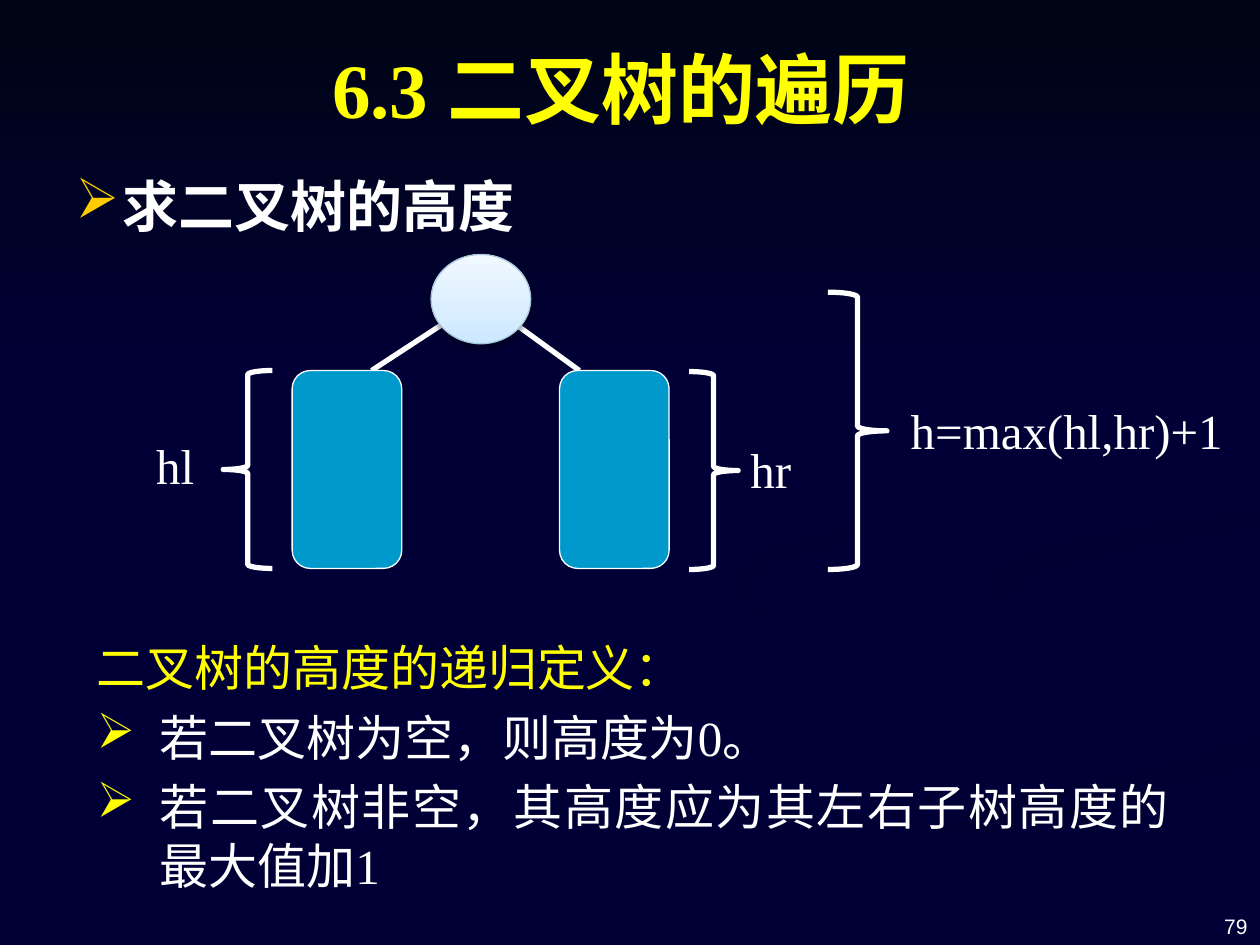
from copy import deepcopy
from dataclasses import dataclass
from typing import Optional

from pptx import Presentation
from pptx.dml.color import RGBColor
from pptx.enum.shapes import MSO_CONNECTOR, MSO_SHAPE
from pptx.enum.text import MSO_ANCHOR, PP_ALIGN
from pptx.oxml.ns import qn
from pptx.util import Cm, Pt
from lxml.etree import SubElement


@dataclass(frozen=True)
class Theme:
    night: str = "000036"
    dusk: str = "000034"
    deep: str = "000032"
    shade: str = "000033"
    sky: str = "000514"
    white: str = "FFFFFF"
    yellow: str = "FFFF00"
    gold: str = "FFCC00"
    subtree: str = "0099CC"
    root_edge: str = "A5C6DE"
    root_stops: tuple = ((0, "CCE8FF"), (35, "DAEEFF"), (100, "F1F8FF"))
    serif: str = "Times New Roman"
    sans: str = "Arial"
    title_size: int = 44
    heading_size: int = 32
    text_size: int = 28
    number_size: int = 12
    thin: float = 0.75
    thick: float = 3


THEME = Theme()


@dataclass(frozen=True)
class Box:
    left: float
    top: float
    width: float
    height: float

    def lengths(self) -> tuple:
        """Return the four sides as lengths."""
        return tuple(Cm(side) for side in (self.left, self.top, self.width, self.height))


@dataclass(frozen=True)
class Line:
    text: str
    size: int = THEME.text_size
    color: str = THEME.white
    font: str = THEME.serif
    bold: bool = False
    align: PP_ALIGN = PP_ALIGN.LEFT
    bullet: Optional[str] = None
    indent: float = 0
    before: float = 0


@dataclass(frozen=True)
class Swirl:
    stops: tuple
    angle: int
    outline: tuple


@dataclass(frozen=True)
class Brace:
    box: Box
    turn: int
    label: str
    label_box: Box


SWIRLS = (
    Swirl(((0, THEME.night), (100, THEME.dusk)), 0, (
        (19.8, 14), (18.6, 13.5), (16.3, 12.9), (15.1, 12.3), (14.6, 11.7), (14.5, 12), (14.9, 12.4),
        (16, 12.8), (18.5, 13.6), (19.7, 14), (20, 14.4), (19.5, 14.9), (18.1, 15.4), (14.7, 16.2),
        (11.6, 17.1), (7.6, 19), (9.2, 19), (11.8, 17.8), (15.1, 16.7), (18.8, 15.7), (20.1, 15.2),
        (20.3, 14.8), (20.1, 14.2))),
    Swirl(((0, THEME.night), (100, THEME.dusk)), 45, (
        (24, 14.5), (23.3, 13.9), (21.6, 13.3), (19.7, 12.8), (18.6, 12.3), (18.4, 11.8), (18.6, 12.4),
        (19.5, 13), (21.3, 13.6), (22.9, 14.1), (23.3, 14.8), (22.7, 15.4), (23.7, 15))),
    Swirl(((0, THEME.deep), (100, THEME.night)), 90, (
        (12.8, 19), (14.5, 19), (16.5, 18), (19.9, 16.8), (25.4, 15.5), (25.4, 14.8), (23.4, 15.4),
        (19.4, 16.4), (16, 17.6), (13.2, 19))),
    Swirl(((0, THEME.night),), 0, (
        (18.4, 11.8), (18.6, 12.3), (19.7, 12.8), (21.6, 13.3), (23.3, 13.9), (24, 14.5), (23.5, 15.1),
        (22.4, 15.4), (19.8, 16.1), (15.7, 17.4), (12.1, 19), (13.2, 19), (16, 17.6), (19.4, 16.4),
        (23.4, 15.4), (25.4, 14.8), (25.4, 13.7), (23, 13.2), (20.4, 12.3), (19.8, 11.8), (20.6, 11.1),
        (22.8, 10.6), (25.4, 10.2), (25.4, 9.8), (22.2, 10.4), (19.2, 11))),
    Swirl(((0, THEME.shade), (100, THEME.night)), 45, (
        (19.8, 11.7), (19.9, 12), (21, 12.6), (20.4, 12.1), (20.7, 11.7), (22.3, 11.2), (25.4, 10.7),
        (25.4, 10.2), (22.8, 10.6), (20.6, 11.1))),
    Swirl(((0, THEME.deep), (100, THEME.night)), 45, (
        (17.3, 10.9), (20, 10.5), (21.7, 9.9), (22.6, 9.2), (22.7, 8.7), (22.4, 7.8), (21.4, 7),
        (19.4, 5.9), (21, 6.8), (22.3, 7.8), (22.6, 8.5), (21.9, 9.4), (19.4, 10.1), (16.5, 10.7),
        (15, 11.2), (14.7, 11.7), (15.1, 12.4), (15.8, 12.7), (15.1, 11.9), (15.6, 11.4))),
    Swirl(((0, THEME.sky), (100, THEME.night)), 90, ((0, 0), (0, 7.82), (25.4, 7.82), (25.4, 0))),
)
BRACES = (
    Brace(Box(4.5, 7.47, 0.99, 3.99), 0, "hl", Box(2.9, 8.66, 1.3, 1.45)),
    Brace(Box(13.89, 7.49, 0.99, 3.99), 180, "hr", Box(14.88, 8.74, 1.35, 1.45)),
    Brace(Box(16.69, 5.89, 1.19, 5.59), 180, "h=max(hl,hr)+1", Box(18.11, 7.95, 6.88, 1.45)),
)
ROOT = Box(8.69, 5.13, 2.01, 1.8)
SUBTREES = (Box(5.89, 7.47, 2.21, 3.99), Box(11.28, 7.47, 2.21, 3.99))
BRANCH_ENDS = (7.49, 11.68)
DEFINITION = (
    Line("二叉树的高度的递归定义：", color=THEME.yellow, align=PP_ALIGN.JUSTIFY),
    *(Line(rule, align=PP_ALIGN.JUSTIFY, bullet=THEME.yellow, indent=1.27, before=6)
      for rule in ("若二叉树为空，则高度为0。", "若二叉树非空，其高度应为其左右子树高度的最大值加1")),
)


def paint(shape, stops: tuple, angle: int = 0) -> None:
    """Fill a shape with one colour or a clockwise linear gradient."""
    if len(stops) == 1:
        shape.fill.solid()
        shape.fill.fore_color.rgb = RGBColor.from_string(stops[0][1])
        return
    shape.fill.gradient()
    shape.fill.gradient_angle = -angle % 360
    stop_list = shape._element.spPr.find(qn("a:gradFill")).find(qn("a:gsLst"))
    for _ in stops[2:]:
        stop_list.append(deepcopy(stop_list[-1]))
    for stop, (position, color) in zip(shape.fill.gradient_stops, stops):
        stop.position = position / 100
        stop.color.rgb = RGBColor.from_string(color)


def stroke(shape, color: str, width: float) -> None:
    """Set the line of a shape or connector."""
    shape.line.color.rgb = RGBColor.from_string(color)
    shape.line.width = Pt(width)


def write(frame, lines: tuple, wrap: bool = True, anchor: MSO_ANCHOR = MSO_ANCHOR.TOP) -> None:
    """Write formatted paragraphs into a text frame."""
    frame.word_wrap = wrap
    frame.vertical_anchor = anchor
    for index, line in enumerate(lines):
        paragraph = frame.add_paragraph() if index else frame.paragraphs[0]
        paragraph.text = line.text
        paragraph.alignment = line.align
        if line.before:
            paragraph.space_before = Pt(line.before)
        if line.bullet:
            properties = paragraph._p.get_or_add_pPr()
            properties.set("marL", str(int(Cm(line.indent))))
            properties.set("indent", str(-int(Cm(line.indent))))
            bullet_color = SubElement(properties, qn("a:buClr"))
            SubElement(bullet_color, qn("a:srgbClr"), val=line.bullet)
            SubElement(properties, qn("a:buChar"), char="➢")
        paragraph.font.size = Pt(line.size)
        paragraph.font.name = line.font
        paragraph.font.bold = line.bold
        paragraph.font.color.rgb = RGBColor.from_string(line.color)


def add_text(slide, box: Box, *lines: Line, **layout) -> None:
    """Add a text box."""
    write(slide.shapes.add_textbox(*box.lengths()).text_frame, lines, **layout)


def add_swirl(slide, swirl: Swirl) -> None:
    """Add one background outline."""
    points = [(Cm(x), Cm(y)) for x, y in swirl.outline]
    builder = slide.shapes.build_freeform(*points[0])
    builder.add_line_segments(points[1:])
    shape = builder.convert_to_shape()
    shape.shadow.inherit = False
    paint(shape, swirl.stops, swirl.angle)
    shape.line.fill.background()


def add_branch(slide, end: float) -> None:
    """Join the root to the top of a subtree."""
    branch = slide.shapes.add_connector(
        MSO_CONNECTOR.STRAIGHT, Cm(ROOT.left + ROOT.width / 2), Cm(ROOT.top + ROOT.height / 2),
        Cm(end), Cm(SUBTREES[0].top))
    stroke(branch, THEME.white, THEME.thick)
    SubElement(branch._element.spPr, qn("a:effectLst"))


def add_node(slide, kind: MSO_SHAPE, box: Box, stops: tuple, edge: str, angle: int = 0):
    """Add a filled part of the tree."""
    node = slide.shapes.add_shape(kind, *box.lengths())
    node.shadow.inherit = False
    paint(node, stops, angle)
    stroke(node, edge, THEME.thin)
    return node


def add_root(slide) -> None:
    """Add the root with its soft shadow."""
    root = add_node(slide, MSO_SHAPE.OVAL, ROOT, THEME.root_stops, THEME.root_edge, 270)
    effects = root._element.spPr.find(qn("a:effectLst"))
    shadow = SubElement(effects, qn("a:outerShdw"), blurRad=str(int(Pt(3.1))), dist=str(int(Pt(1.6))),
                        dir="5400000", rotWithShape="0")
    shadow_color = SubElement(shadow, qn("a:srgbClr"), val="000000")
    SubElement(shadow_color, qn("a:alpha"), val="38000")


def add_brace(slide, brace: Brace) -> None:
    """Add a height brace and its label."""
    shape = slide.shapes.add_shape(MSO_SHAPE.LEFT_BRACE, *brace.box.lengths())
    shape.shadow.inherit = False
    shape.rotation = brace.turn
    shape.fill.background()
    stroke(shape, THEME.white, THEME.thick)
    add_text(slide, brace.label_box, Line(brace.label), wrap=False)


def add_title(slide) -> None:
    """Place the title in front of the background."""
    title = slide.shapes.title
    slide.shapes._spTree.append(title._element)
    title.left, title.top, title.width, title.height = Box(1.09, 0.41, 22.86, 2.72).lengths()
    write(title.text_frame, (Line("6.3 二叉树的遍历", THEME.title_size, THEME.yellow, bold=True,
                                  align=PP_ALIGN.CENTER),), anchor=MSO_ANCHOR.MIDDLE)


def main() -> None:
    """Build and save the slide."""
    deck = Presentation()
    deck.slide_width, deck.slide_height = Cm(25.4), Cm(19.05)
    slide = deck.slides.add_slide(deck.slide_layouts[5])
    slide.background.fill.solid()
    slide.background.fill.fore_color.rgb = RGBColor.from_string(THEME.night)
    for swirl in SWIRLS:
        add_swirl(slide, swirl)
    add_title(slide)
    add_text(slide, Box(1.27, 3.33, 22.86, 2.21),
             Line("求二叉树的高度", THEME.heading_size, bold=True, bullet=THEME.gold, indent=0.95))
    add_text(slide, Box(19.48, 17.73, 5.92, 1.32),
             Line("79", THEME.number_size, font=THEME.sans, align=PP_ALIGN.RIGHT), anchor=MSO_ANCHOR.BOTTOM)
    for end in BRANCH_ENDS:
        add_branch(slide, end)
    add_root(slide)
    for box in SUBTREES:
        add_node(slide, MSO_SHAPE.ROUNDED_RECTANGLE, box, ((0, THEME.subtree),), THEME.white)
    for brace in BRACES:
        add_brace(slide, brace)
    add_text(slide, Box(1.7, 12.73, 22.12, 5.46), *DEFINITION)
    deck.save("out.pptx")


if __name__ == "__main__":
    main()
